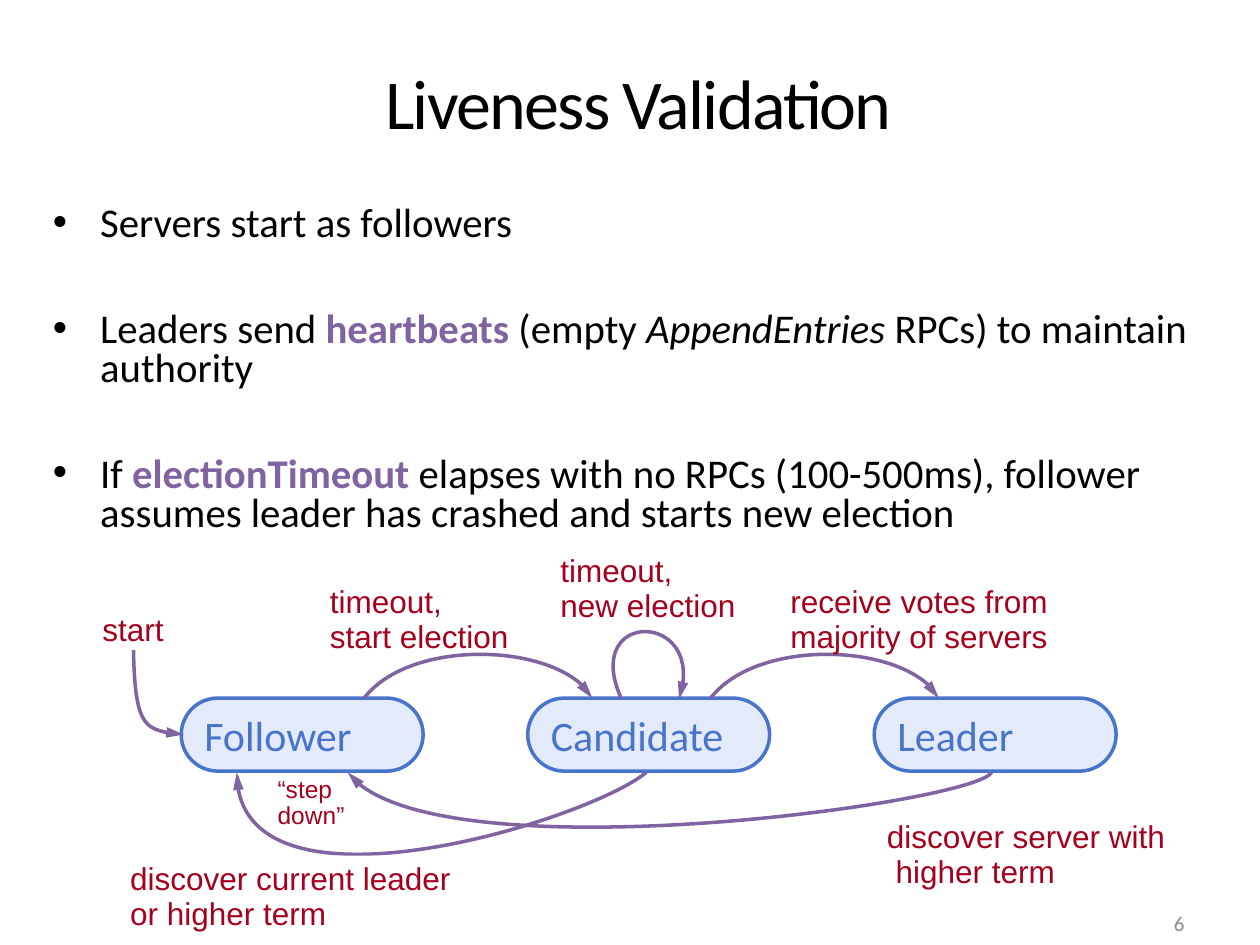
import pptx
import pptx.util
import pptx.dml.color
import pptx.enum.shapes
import pptx.enum.text
import pptx.oxml.ns
from lxml import etree

BLACK = pptx.dml.color.RGBColor(0x00, 0x00, 0x00)
WHITE = pptx.dml.color.RGBColor(0xFF, 0xFF, 0xFF)
PURPLE = pptx.dml.color.RGBColor(0x80, 0x64, 0xA2)
RED = pptx.dml.color.RGBColor(0xA5, 0x00, 0x1E)
BLUE = pptx.dml.color.RGBColor(0x49, 0x74, 0xCB)
PALE = pptx.dml.color.RGBColor(0xE3, 0xEA, 0xF9)
GREY = pptx.dml.color.RGBColor(0x8C, 0x8C, 0x8C)
qn = pptx.oxml.ns.qn
Pt = pptx.util.Pt
ANCHOR = pptx.enum.text.MSO_ANCHOR
ALIGN = pptx.enum.text.PP_ALIGN
FIT = pptx.enum.text.MSO_AUTO_SIZE

prs = pptx.Presentation()
prs.slide_width = pptx.util.Inches(10)
prs.slide_height = pptx.util.Inches(7.5)
s = prs.slides.add_slide(prs.slide_layouts[1])

# Grid of 100 columns by 75 rows
U = prs.slide_width // 100


def place(*cells):
    return [int(c * U) for c in cells]


def style(p, size, color, name="Calibri"):
    p.font.size = Pt(size)
    p.font.name = name
    p.font.color.rgb = color


# Title
title = s.shapes.title
title.left, title.top, title.width, title.height = place(3.8, 0.15, 93.7, 11.7)
tf = title.text_frame
tf.auto_size = FIT.NONE
tf.vertical_anchor = ANCHOR.BOTTOM
p = tf.paragraphs[0]
p.alignment = ALIGN.CENTER
p.line_spacing = 0.8
style(p, 40, BLACK)
r = p.add_run()
r.text = "Liveness Validation"
r.font._element.set("spc", "-100")

# Bullets: each is a list of (text, emphasis) pieces
bullets = [
    [("Servers start as followers", "")],
    [("Leaders send ", ""), ("heartbeats", "bold"), (" (empty ", ""),
     ("AppendEntries", "italic"), (" RPCs) to maintain authority", "")],
    [("If ", ""), ("electionTimeout ", "bold"),
     ("elapses with no RPCs (100-500ms), follower assumes leader has "
      "crashed and starts new election", "")],
]
body = s.placeholders[1]
body.left, body.top, body.width, body.height = place(3.2, 15.9, 96.8, 27.1)
tf = body.text_frame
tf.auto_size = FIT.NONE
for i, pieces in enumerate(bullets):
    p = tf.add_paragraph() if i else tf.paragraphs[0]
    p.line_spacing = 0.8
    p.space_before, p.space_after = Pt(30), Pt(8)
    style(p, 23.3, BLACK)
    pPr = p._p.get_or_add_pPr()
    pPr.set("marL", str(int(3.75 * U)))
    pPr.set("indent", str(int(-3.75 * U)))
    for text, emphasis in pieces:
        r = p.add_run()
        r.text = text
        if emphasis == "bold":
            r.font.bold = True
            r.font.color.rgb = PURPLE
        elif emphasis == "italic":
            r.font.italic = True

# States, at an equal pitch
FIRST, PITCH = 14.38, 27.5
STATE_TOP, STATE_W, STATE_H = 55.4, 19.2, 5.8
for i, name in enumerate(["Follower", "Candidate", "Leader"]):
    sp = s.shapes.add_shape(
        pptx.enum.shapes.MSO_SHAPE.ROUNDED_RECTANGLE,
        *place(FIRST + i * PITCH, STATE_TOP, STATE_W, STATE_H))
    sp.adjustments[0] = 0.5
    sp.shadow.inherit = False
    sp.fill.solid()
    sp.fill.fore_color.rgb = PALE
    sp.line.color.rgb = BLUE
    sp.line.width = Pt(2)
    sp.text_frame.vertical_anchor = ANCHOR.MIDDLE
    p = sp.text_frame.paragraphs[0]
    p.text = name
    p.alignment = ALIGN.LEFT
    style(p, 24, BLUE)

# Transitions: Bezier curves (start, two controls, end)
forward = [(28.9, 55.4), (32.4, 50.9), (44.6, 51), (47, 55.4)]
transitions = [
    [(10.6, 51.6), (10.7, 57.4), (11.9, 58.2), (14.6, 58.3)],
    forward,
    [(x + PITCH, y) for x, y in forward],
    [(49.3, 55.4), (46.3, 48.7), (56.2, 48.4), (53.9, 55.5)],
    [(51.3, 61.3), (46.9, 65), (18.7, 73.8), (18.8, 61.3)],
    [(78.7, 61.3), (77.4, 63.7), (33.9, 69.7), (27.6, 61.3)],
]
STEPS = 50
for curve in transitions:
    points = [place(*c) for c in curve]
    fb = s.shapes.build_freeform(*points[0])
    fb.add_line_segments(points[1:], close=False)
    sp = fb.convert_to_shape()

    # Frame the shape by the extent of the curve, not of its controls
    bounds = []
    for axis in (0, 1):
        a, b, c, d = [point[axis] for point in points]
        track = [a * (1 - t) ** 3 + 3 * b * t * (1 - t) ** 2
                 + 3 * c * t * t * (1 - t) + d * t ** 3
                 for t in (k / STEPS for k in range(STEPS + 1))]
        bounds.append((int(min(track)), int(max(track))))
    (left, right), (top, bottom) = bounds
    sp.left, sp.top, sp.width, sp.height = left, top, right - left, bottom - top

    # Make the three segments one cubic curve
    outline = next(sp._element.iter(qn("a:path")))
    outline.set("w", str(sp.width))
    outline.set("h", str(sp.height))
    for pt, (x, y) in zip(list(outline.iter(qn("a:pt"))), points):
        pt.set("x", str(x - left))
        pt.set("y", str(y - top))
    cubic = etree.SubElement(outline, qn("a:cubicBezTo"))
    for segment in outline.findall(qn("a:lnTo")):
        cubic.append(segment[0])
        outline.remove(segment)

    sp.shadow.inherit = False
    sp.fill.background()
    sp.line.color.rgb = PURPLE
    sp.line.width = Pt(2)
    etree.SubElement(sp.line._get_or_add_ln(), qn("a:tailEnd"),
                     type="triangle", w="med", len="lg")

# Transition labels: text, cells, size, line spacing, fill
labels = [
    ("start", (7.15, 47.9, 6.9, 4), 18, None, None),
    ("timeout,\nstart election", (25.2, 45.9, 16.3, 6.6), 18, 20, None),
    ("receive votes from\nmajority of servers", (61.75, 45.9, 22.6, 6.6), 18, 20, None),
    ("timeout,\nnew election", (43.5, 43.5, 16, 6.6), 18, 20, None),
    ("discover server with\n higher term", (69.4, 64.6, 24.3, 6.6), 18, 20, None),
    ("discover current leader\nor higher term", (9.35, 67.9, 27.7, 6.6), 18, 20, WHITE),
    ("“step\ndown”", (21.05, 61.2, 7.3, 5.2), 14, 15, None),
]
for text, cells, size, spacing, fill in labels:
    sp = s.shapes.add_textbox(*place(*cells))
    if fill is not None:
        sp.fill.solid()
        sp.fill.fore_color.rgb = fill
    tf = sp.text_frame
    tf.word_wrap = False
    tf.auto_size = FIT.SHAPE_TO_FIT_TEXT
    p = tf.paragraphs[0]
    p.text = text
    if spacing:
        p.line_spacing = Pt(spacing)
    style(p, size, RED, "Arial")

# Slide number
sp = s.shapes.add_textbox(*place(71.7, 71.3, 23.3, 4))
tf = sp.text_frame
tf.word_wrap = True
tf.vertical_anchor = ANCHOR.MIDDLE
p = tf.paragraphs[0]
p.text = "6"
p.alignment = ALIGN.RIGHT
style(p, 12, GREY)

prs.save("out.pptx")
